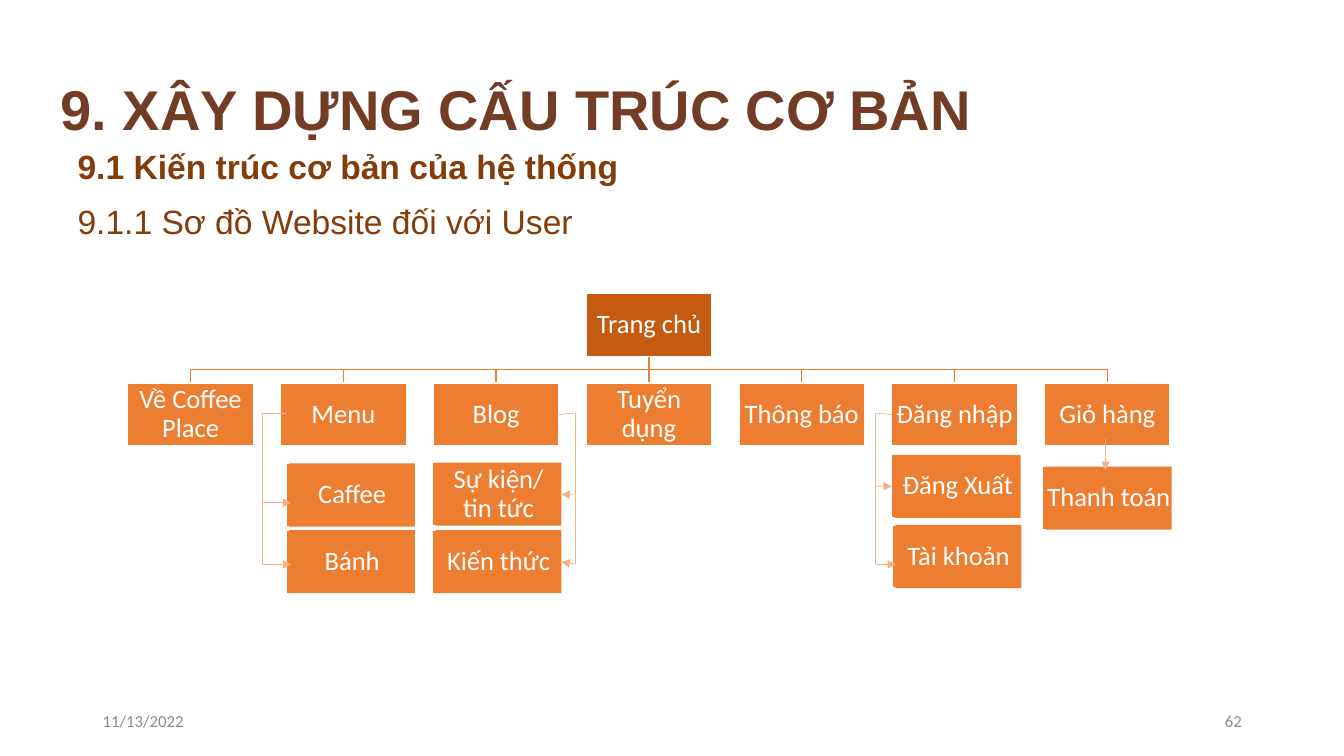
import pptx
import pptx.util
import pptx.dml.color
import pptx.enum.shapes
import pptx.enum.text
import pptx.oxml.ns
from lxml import etree

Cm, Pt = pptx.util.Cm, pptx.util.Pt
RGB = pptx.dml.color.RGBColor.from_string
ALIGN, ANCHOR = pptx.enum.text.PP_ALIGN, pptx.enum.text.MSO_ANCHOR
STRAIGHT = pptx.enum.shapes.MSO_CONNECTOR.STRAIGHT
RECT = pptx.enum.shapes.MSO_SHAPE.RECTANGLE

THEME = {
    "title": RGB("733D25"), "heading": RGB("843C0B"), "root": RGB("C55A11"),
    "node": RGB("ED7D31"), "branch": RGB("F4B183"), "white": RGB("FFFFFF"),
    "footer": RGB("8C8C8C"), "head_font": "Arial", "body_font": "Calibri",
    "title_size": Pt(40), "heading_size": Pt(24), "node_size": Pt(19),
    "footer_size": Pt(12),
}
BOX_W, BOX_H = 3.17, 1.59


def add_text(p, text, font, size, color, bold=False):
    r = p.add_run()
    r.text = text
    r.font.name, r.font.size, r.font.bold = font, size, bold
    r.font.color.rgb = color


def add_box(x, y, fill, text="", outline=True):
    sp = s.shapes.add_shape(RECT, Cm(x), Cm(y), Cm(BOX_W), Cm(BOX_H))
    sp.shadow.inherit = False
    sp.fill.solid()
    sp.fill.fore_color.rgb = fill
    if outline:
        sp.line.color.rgb = THEME["white"]
        sp.line.width = Pt(1)
    else:
        sp.line.fill.background()
    if text:
        tf = sp.text_frame
        tf.word_wrap = True
        tf.vertical_anchor = ANCHOR.MIDDLE
        tf.margin_left = tf.margin_right = tf.margin_top = tf.margin_bottom = Cm(0.03)
        p = tf.paragraphs[0]
        p.alignment, p.line_spacing = ALIGN.CENTER, 0.9
        add_text(p, text, THEME["body_font"], THEME["node_size"], THEME["white"])
    return sp


prs = pptx.Presentation()
prs.slide_width, prs.slide_height = Cm(33.87), Cm(19.05)
s = prs.slides.add_slide(prs.slide_layouts[1])

# Title
sp = s.shapes.title
sp.left, sp.top, sp.width, sp.height = Cm(-0.28), Cm(1.75), Cm(26.57), Cm(1.96)
tf = sp.text_frame
tf.auto_size, tf.word_wrap = pptx.enum.text.MSO_AUTO_SIZE.NONE, True
tf.vertical_anchor = ANCHOR.TOP
p = tf.paragraphs[0]
p.alignment = ALIGN.CENTER
add_text(p, "9. XÂY DỰNG CẤU TRÚC CƠ BẢN", THEME["head_font"],
         THEME["title_size"], THEME["title"], True)

# Section headings
sp = s.placeholders[1]
sp.left, sp.top, sp.width, sp.height = Cm(1.7), Cm(3.56), Cm(17.58), Cm(2.62)
tf = sp.text_frame
tf.auto_size, tf.word_wrap = pptx.enum.text.MSO_AUTO_SIZE.NONE, True
headings = [("9.1 Kiến trúc cơ bản của hệ thống", True, 0),
            ("9.1.1 Sơ đồ Website đối với User", False, 10.5)]
for i, (text, bold, before) in enumerate(headings):
    p = tf.add_paragraph() if i else tf.paragraphs[0]
    pPr = p._p.get_or_add_pPr()
    pPr.set("marL", "0")
    pPr.set("indent", "0")
    etree.SubElement(pPr, pptx.oxml.ns.qn("a:buNone"))
    p.space_before = Pt(before)
    add_text(p, text, THEME["head_font"], THEME["heading_size"], THEME["heading"], bold)

# Site tree: positions of the root and the pages below it
pages = ["Về Coffee Place", "Menu", "Blog", "Tuyển dụng", "Thông báo",
         "Đăng nhập", "Giỏ hàng"]
PAGE_X, PAGE_Y, PITCH = 3.22, 9.65, 3.85
ROOT_X, ROOT_Y = PAGE_X + 3 * PITCH, 7.39
root_mid, root_bottom = ROOT_X + BOX_W / 2, ROOT_Y + BOX_H
bus_y = (root_bottom + PAGE_Y) / 2

# Tree lines
for i in range(len(pages)):
    page_mid = PAGE_X + i * PITCH + BOX_W / 2
    fb = s.shapes.build_freeform(Cm(root_mid), Cm(root_bottom))
    fb.add_line_segments([(Cm(root_mid), Cm(bus_y)), (Cm(page_mid), Cm(bus_y)),
                          (Cm(page_mid), Cm(PAGE_Y))], close=False)
    sp = fb.convert_to_shape()
    sp.shadow.inherit = False
    sp.fill.background()
    sp.line.color.rgb = THEME["node"]
    sp.line.width = Pt(1)

# Root and page boxes
boxes = {}
add_box(ROOT_X, ROOT_Y, THEME["root"], "Trang chủ")
for i, name in enumerate(pages):
    boxes[name] = add_box(PAGE_X + i * PITCH, PAGE_Y, THEME["node"], name)

# Sub-page boxes: an outlined back card and a front card shifted right
subpages = [("Caffee", 7.21, 11.68), ("Bánh", 7.21, 13.36),
            ("Sự kiện/ tin tức", 10.9, 11.66), ("Kiến thức", 10.9, 13.36),
            ("Đăng Xuất", 22.47, 11.46), ("Tài khoản", 22.49, 13.23),
            ("Thanh toán", 26.28, 11.76)]
for name, x, y in subpages:
    back = add_box(x, y, THEME["node"])
    front = add_box(x + 0.08, y, THEME["node"], name, outline=False)
    boxes[name] = front if name in ("Sự kiện/ tin tức", "Kiến thức") else back

# Branch lines: start, end, arrowhead, joined box and side
TOP, BOTTOM = 10.41, 14.22
MENU_X, BLOG_X, LOGIN_X = 6.6, 14.5, 22.07
branches = [
    (MENU_X, 12.67, 7.34, 12.67, True, None, 0),
    (MENU_X, BOTTOM, 7.34, BOTTOM, True, None, 0),
    (MENU_X, TOP, 7.21, TOP, False, None, 0),
    (MENU_X, TOP, MENU_X, BOTTOM, False, None, 0),
    (14.45, TOP, 14.07, TOP, False, "Blog", 3),
    (BLOG_X, TOP, BLOG_X, BOTTOM, False, None, 0),
    (14.45, 12.47, 14.17, 12.45, True, "Sự kiện/ tin tức", 3),
    (BLOG_X, BOTTOM, 14.17, 14.17, True, "Kiến thức", 3),
    (27.86, 11.05, 27.86, 11.84, True, None, 0),
    (LOGIN_X, TOP, 22.48, TOP, False, "Đăng nhập", 1),
    (LOGIN_X, TOP, LOGIN_X, BOTTOM, False, None, 0),
    (LOGIN_X, BOTTOM, 22.58, BOTTOM, True, None, 0),
    (LOGIN_X, 12.25, 22.47, 12.25, True, "Đăng Xuất", 1),
]
for x1, y1, x2, y2, arrow, target, side in branches:
    cn = s.shapes.add_connector(STRAIGHT, Cm(x1), Cm(y1), Cm(x2), Cm(y2))
    if target:
        cn.end_connect(boxes[target], side)
    cn.line.color.rgb = THEME["branch"]
    cn.line.width = Pt(0.5)
    if arrow:
        ln = cn.line._get_or_add_ln()
        etree.SubElement(ln, pptx.oxml.ns.qn("a:tailEnd"), type="triangle")
    etree.SubElement(cn._element.spPr, pptx.oxml.ns.qn("a:effectLst"))

# Date and page number
for x, text, align in [(2.34, "11/13/2022", ALIGN.LEFT), (23.93, "62", ALIGN.RIGHT)]:
    sp = s.shapes.add_textbox(Cm(x), Cm(17.65), Cm(7.62), Cm(1.02))
    tf = sp.text_frame
    tf.word_wrap = True
    tf.vertical_anchor = ANCHOR.MIDDLE
    p = tf.paragraphs[0]
    p.alignment = align
    add_text(p, text, THEME["body_font"], THEME["footer_size"], THEME["footer"])

prs.save("out.pptx")
